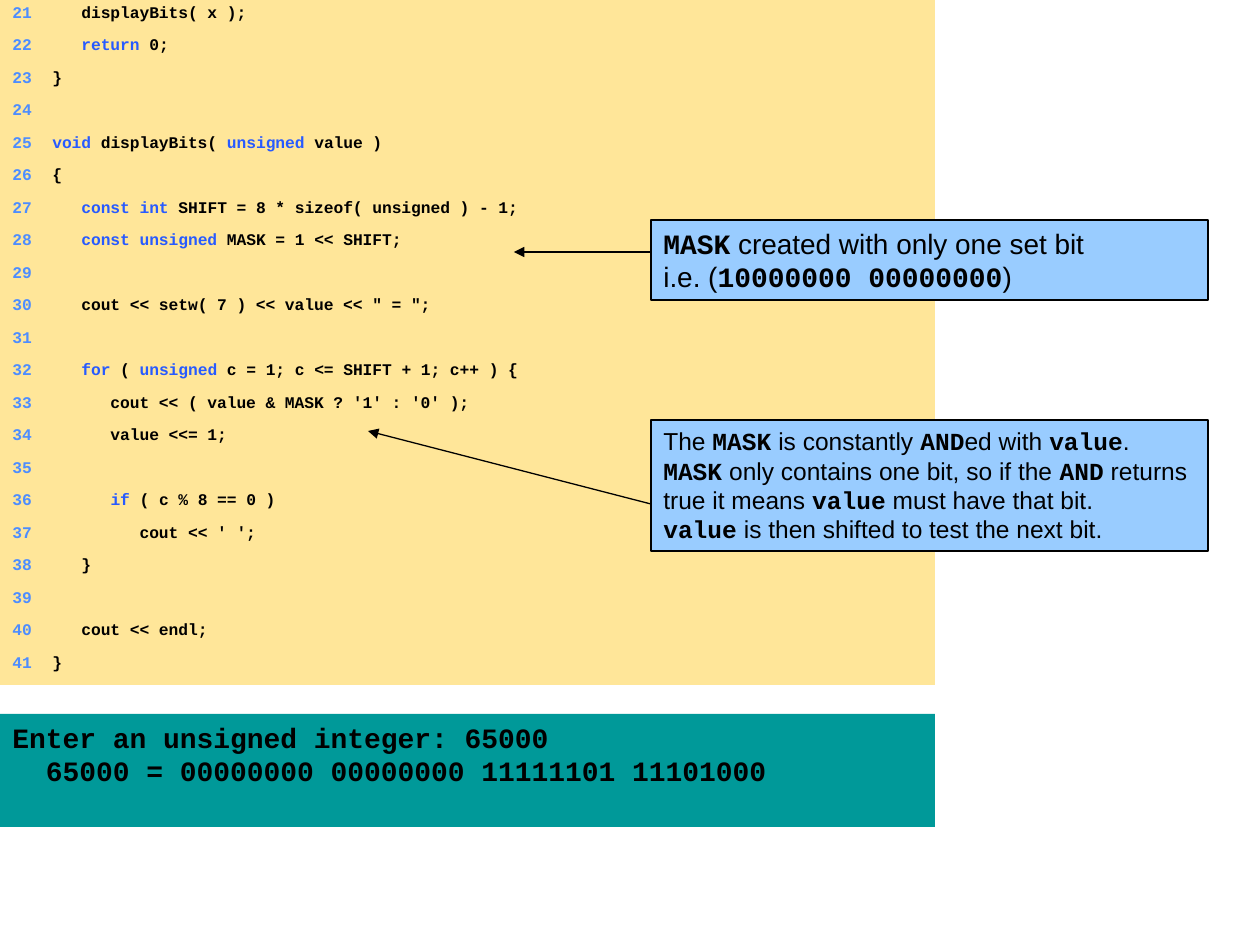
from lxml.etree import SubElement
from pptx import Presentation
from pptx.dml.color import RGBColor
from pptx.enum.shapes import MSO_CONNECTOR, MSO_SHAPE
from pptx.enum.text import MSO_ANCHOR, PP_ALIGN
from pptx.oxml.ns import qn
from pptx.util import Emu, Pt

PX_PER_INCH = 126
CODE_WIDTH = 935
FIRST_LINE = 21
CODE_TABS = ((0, "l"), (19, "r"), (40, "l"))
MONO = "Courier New"
SANS = "Arial"
COLORS = {
    "text": "000000",
    "number": "4D8DFF",
    "keyword": "275AFF",
    "listing": "FFE699",
    "output": "009999",
    "callout": "99CCFF",
}

# Backticks enclose keywords.
CODE = """\
   displayBits( x );
   `return` 0;
}

`void` displayBits( `unsigned` value )
{
   `const int` SHIFT = 8 * sizeof( unsigned ) - 1;
   `const unsigned` MASK = 1 << SHIFT;

   cout << setw( 7 ) << value << " = ";

   `for` ( `unsigned` c = 1; c <= SHIFT + 1; c++ ) {
      cout << ( value & MASK ? '1' : '0' );
      value <<= 1;

      `if` ( c % 8 == 0 )
         cout << ' ';
   }

   cout << endl;
}""".split("\n")
OUTPUT = [
    "Enter an unsigned integer: 65000",
    "  65000 = 00000000 00000000 11111101 11101000",
]
MASK_NOTE = [
    "`MASK` created with only one set bit",
    "i.e. (`10000000 00000000`)",
]
AND_NOTE = [
    "The `MASK` is constantly `AND`ed with `value`.",
    "`MASK` only contains one bit, so if the `AND` returns true it means "
    "`value` must have that bit.",
    "`value` is then shifted to test the next bit.",
]


def px(length):
    return Emu(round(length * 914400 / PX_PER_INCH))


def color(name):
    return RGBColor.from_string(COLORS[name])


def add_text(paragraph, text, size, font=MONO, bold=True, fill="text"):
    run = paragraph.add_run()
    run.text = text
    run.font.size = Pt(size)
    run.font.name = font
    run.font.bold = bold
    run.font.color.rgb = color(fill)


def add_marked_text(paragraph, text, size, plain, marked):
    for position, part in enumerate(text.split("`")):
        if part:
            add_text(paragraph, part, size, **(marked if position % 2 else plain))


def add_panel(shapes, left, top, width, height, fill, outlined=False):
    panel = shapes.add_shape(
        MSO_SHAPE.RECTANGLE, px(left), px(top), px(width), px(height))
    panel.shadow.inherit = False
    panel.fill.solid()
    panel.fill.fore_color.rgb = color(fill)
    if outlined:
        panel.line.color.rgb = color("text")
        panel.line.width = Pt(0.75)
    else:
        panel.line.fill.background()
    panel.text_frame.word_wrap = True
    panel.text_frame.vertical_anchor = MSO_ANCHOR.TOP
    return panel


def left_paragraphs(panel, count):
    frame = panel.text_frame
    for _ in range(count - 1):
        frame.add_paragraph()
    for paragraph in frame.paragraphs:
        paragraph.alignment = PP_ALIGN.LEFT
    return frame.paragraphs


def add_tab_stops(paragraph, stops):
    tab_list = SubElement(paragraph._p.get_or_add_pPr(), qn("a:tabLst"))
    for position, alignment in stops:
        SubElement(tab_list, qn("a:tab"), pos=str(px(position)), algn=alignment)


def add_listing(slide):
    listing = slide.shapes.add_group_shape().shapes
    for index, code in enumerate(CODE):
        top = index * 65 // 2
        add_panel(listing, 0, top - 3, CODE_WIDTH, 38, "listing")
        row = add_panel(listing, 0, top, CODE_WIDTH, 33, "listing")
        line = left_paragraphs(row, 1)[0]
        add_tab_stops(line, CODE_TABS)
        line.line_spacing = 0.8
        add_text(line, f"\t{FIRST_LINE + index}\t", 9.3, fill="number")
        add_marked_text(line, code, 9.3, {}, {"fill": "keyword"})


def add_output(slide):
    output = add_panel(slide.shapes, 0, 714, CODE_WIDTH, 113, "output")
    for line, text in zip(left_paragraphs(output, len(OUTPUT)), OUTPUT):
        add_text(line, text, 16)


def add_arrow(shapes, start, end):
    arrow = shapes.add_connector(
        MSO_CONNECTOR.STRAIGHT, *(px(value) for value in (*start, *end)))
    arrow.line.color.rgb = color("text")
    arrow.line.width = Pt(0.75)
    properties = arrow.element.spPr
    SubElement(properties.find(qn("a:ln")), qn("a:tailEnd"), type="triangle")
    SubElement(properties, qn("a:effectLst"))


def add_callout(slide, note, top, height, size, arrow_y, target):
    left = 651
    callout = slide.shapes.add_group_shape().shapes
    panel = add_panel(callout, left, top, 557, height, "callout", outlined=True)
    for line, text in zip(left_paragraphs(panel, len(note)), note):
        add_marked_text(line, text, size, {"font": SANS, "bold": False}, {})
    add_arrow(callout, (left, arrow_y), target)


def main():
    presentation = Presentation()
    presentation.slide_width = px(1260)
    presentation.slide_height = px(945)
    slide = presentation.slides.add_slide(presentation.slide_layouts[6])
    add_listing(slide)
    add_output(slide)
    add_callout(slide, MASK_NOTE, 220, 80, 16, 252, (514, 252))
    add_callout(slide, AND_NOTE, 420, 131, 14, 504, (368, 431))
    presentation.save("out.pptx")


if __name__ == "__main__":
    main()
